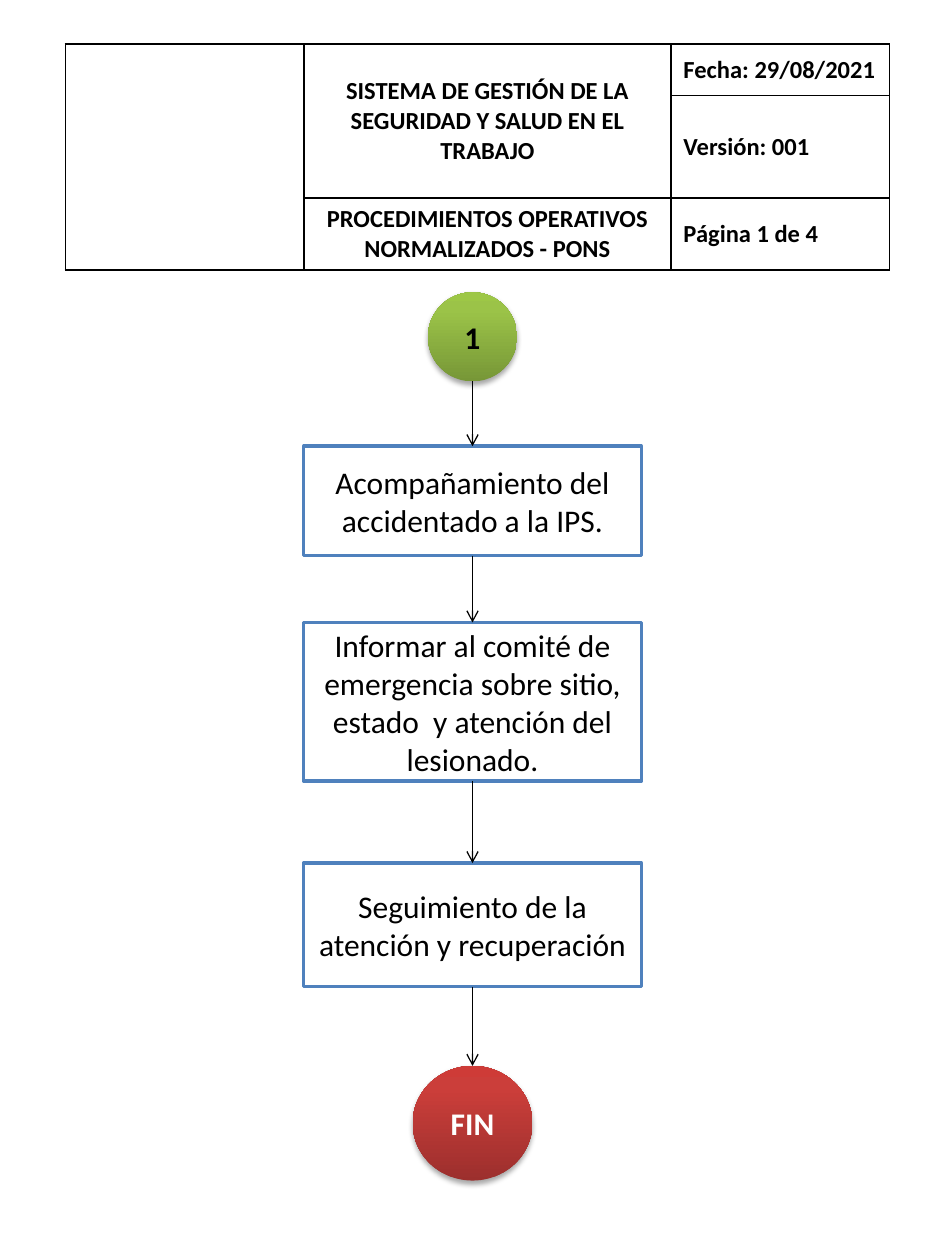
import copy
import itertools
from dataclasses import dataclass

import lxml.etree
import pptx
import pptx.dml.color
import pptx.enum.shapes
import pptx.enum.text
import pptx.oxml
import pptx.oxml.ns
import pptx.util

Pt = pptx.util.Pt
qn = pptx.oxml.ns.qn
ALIGN = pptx.enum.text.PP_ALIGN
ANCHOR = pptx.enum.text.MSO_ANCHOR
PRESET = pptx.enum.shapes.MSO_SHAPE
NAMESPACE = "http://schemas.openxmlformats.org/drawingml/2006/main"
BLACK, WHITE, BLUE = "000000", "FFFFFF", "4F81BD"
AXIS = 270
BOX_WIDTH = 193
ROW_HEIGHT = 29.5


@dataclass
class Step:
    text: str
    top: float
    width: float
    height: float
    ink: str = BLACK
    gradient: tuple[str, ...] = ()

    @property
    def bottom(self) -> float:
        return self.top + self.height


@dataclass
class HeaderEntry:
    text: str
    row: int
    column: int
    centred: bool = False


STEPS = [
    Step("1", 167, 51, 51, gradient=("779737", "9BC348", "9DC746")),
    Step("Acompañamiento del accidentado a la IPS.", 255, BOX_WIDTH, 62.5),
    Step("Informar al comité de emergencia sobre sitio, estado  y atención del lesionado.",
         355.7, BOX_WIDTH, 90.7),
    Step("Seguimiento de la atención y recuperación", 493.2, BOX_WIDTH, 70.6),
    Step("FIN", 609.1, 68.4, 65.5, WHITE, ("9C2F2D", "CB3E3A", "CE3B37")),
]

HEADER = [
    HeaderEntry("SISTEMA DE GESTIÓN DE LA SEGURIDAD Y SALUD EN EL TRABAJO", 0, 1, True),
    HeaderEntry("Fecha: 29/08/2021", 0, 2),
    HeaderEntry("Versión: 001", 1, 2),
    HeaderEntry("PROCEDIMIENTOS OPERATIVOS NORMALIZADOS - PONS", 2, 1, True),
    HeaderEntry("Página 1 de 4", 2, 2),
]


def colour(value: str) -> pptx.dml.color.RGBColor:
    return pptx.dml.color.RGBColor.from_string(value)


def write(frame, text: str, *, size: float, ink: str = BLACK,
          bold: bool = False, align=ALIGN.CENTER) -> None:
    paragraph = frame.paragraphs[0]
    paragraph.alignment = align
    run = paragraph.add_run()
    run.text = text
    run.font.name = "Calibri"
    run.font.size = Pt(size)
    run.font.bold = bold
    run.font.color.rgb = colour(ink)


def shade(terminal, hues: tuple[str, ...]) -> None:
    terminal.fill.gradient()
    terminal.fill.gradient_angle = 90
    stops = terminal.element.spPr.find(".//" + qn("a:gsLst"))
    stops.append(copy.deepcopy(stops[-1]))
    for stop, position, hue in zip(terminal.fill.gradient_stops, (0, 0.8, 1), hues):
        stop.position = position
        stop.color.rgb = colour(hue)
    effects = terminal.element.spPr.find(qn("a:effectLst"))
    effects.append(pptx.oxml.parse_xml(
        f'<a:outerShdw xmlns:a="{NAMESPACE}" blurRad="{Pt(3.1)}" dist="{Pt(1.8)}" '
        'dir="5400000" rotWithShape="0"><a:srgbClr val="000000">'
        '<a:alpha val="35000"/></a:srgbClr></a:outerShdw>'))


def draw_step(slide, step: Step) -> None:
    preset = PRESET.OVAL if step.gradient else PRESET.RECTANGLE
    node = slide.shapes.add_shape(preset, Pt(AXIS - step.width / 2), Pt(step.top),
                                  Pt(step.width), Pt(step.height))
    node.shadow.inherit = False
    if step.gradient:
        shade(node, step.gradient)
        node.line.fill.background()
    else:
        node.fill.solid()
        node.fill.fore_color.rgb = colour(WHITE)
        node.line.color.rgb = colour(BLUE)
        node.line.width = Pt(2)
    node.text_frame.word_wrap = True
    node.text_frame.vertical_anchor = ANCHOR.MIDDLE
    write(node.text_frame, step.text, size=18, ink=step.ink, bold=bool(step.gradient))


def draw_arrow(slide, start: float, end: float) -> None:
    arrow = slide.shapes.add_connector(pptx.enum.shapes.MSO_CONNECTOR.STRAIGHT,
                                       Pt(AXIS), Pt(start), Pt(AXIS), Pt(end))
    arrow.line.color.rgb = colour(BLACK)
    arrow.line.width = Pt(0.75)
    outline = arrow.element.spPr.find(qn("a:ln"))
    lxml.etree.SubElement(outline, qn("a:tailEnd"), type="arrow")
    lxml.etree.SubElement(arrow.element.spPr, qn("a:effectLst"))


def frame_cell(cell) -> None:
    cell.fill.solid()
    cell.fill.fore_color.rgb = colour(WHITE)
    cell.vertical_anchor = ANCHOR.MIDDLE
    properties = cell._tc.get_or_add_tcPr()
    for place, side in enumerate("LRTB"):
        properties.insert(place, pptx.oxml.parse_xml(
            f'<a:ln{side} xmlns:a="{NAMESPACE}" w="{Pt(1)}"><a:solidFill>'
            f'<a:srgbClr val="{BLACK}"/></a:solidFill></a:ln{side}>'))


def draw_header(slide) -> None:
    widths = (136.4, 209.6, 124.9)
    header = slide.shapes.add_table(3, 3, Pt(37.4), Pt(25.2), Pt(sum(widths)),
                                    Pt(3 * ROW_HEIGHT)).table
    header.first_row = False
    header.horz_banding = False
    for column, width in zip(header.columns, widths):
        column.width = Pt(width)
    for row in header.rows:
        row.height = Pt(ROW_HEIGHT)
    for cell in header.iter_cells():
        frame_cell(cell)
    header.cell(0, 0).merge(header.cell(2, 0))
    header.cell(0, 1).merge(header.cell(1, 1))
    for entry in HEADER:
        write(header.cell(entry.row, entry.column).text_frame, entry.text, size=14,
              bold=True, align=ALIGN.CENTER if entry.centred else ALIGN.LEFT)


def main() -> None:
    deck = pptx.Presentation()
    deck.slide_width, deck.slide_height = Pt(540), Pt(720)
    slide = deck.slides.add_slide(deck.slide_layouts[6])
    for step in STEPS:
        draw_step(slide, step)
    for before, after in itertools.pairwise(STEPS):
        draw_arrow(slide, before.bottom, after.top)
    draw_header(slide)
    deck.save("out.pptx")


if __name__ == "__main__":
    main()
